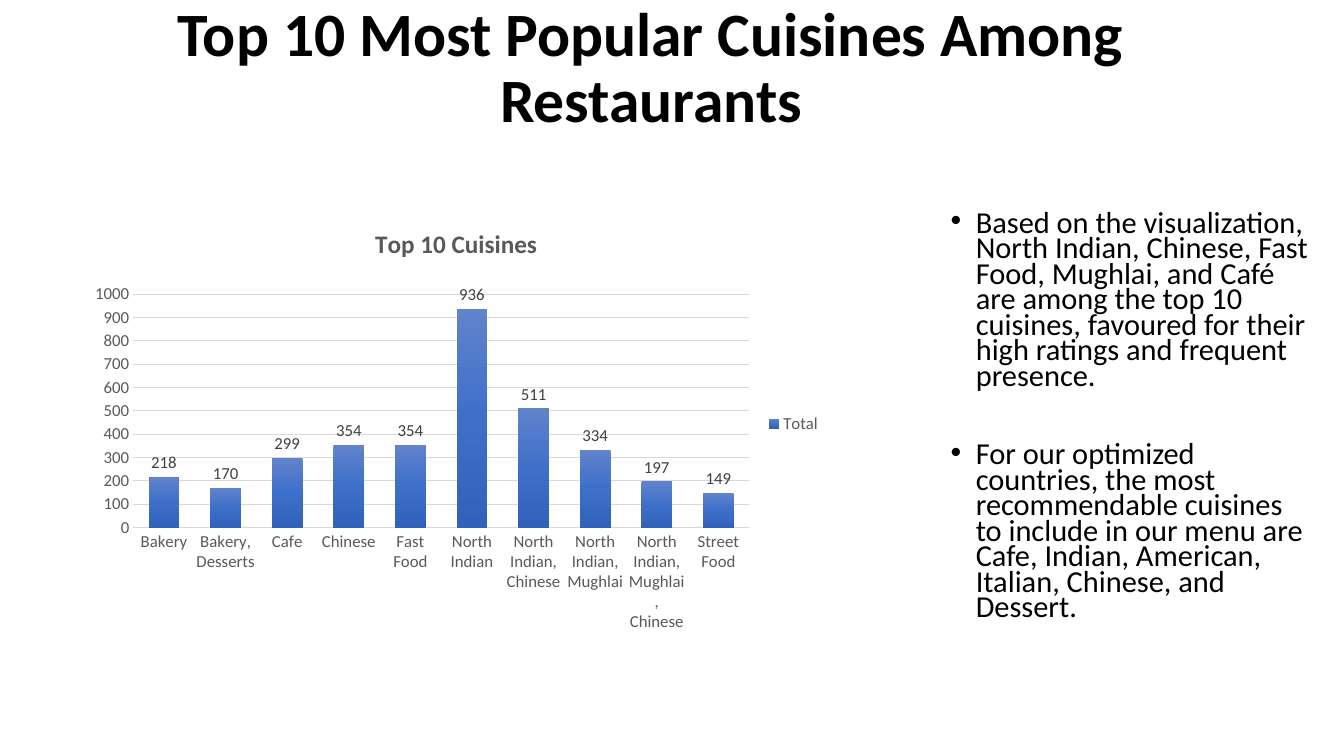
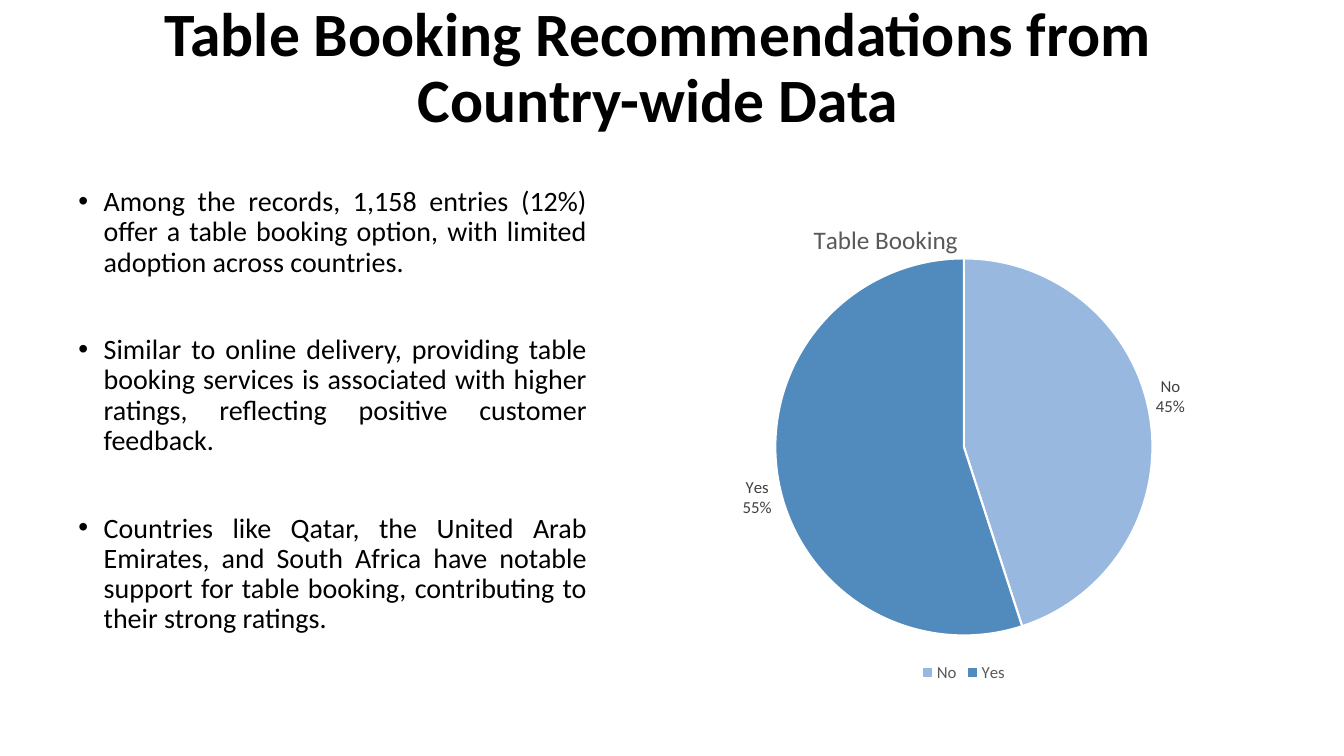
from lxml import etree
from pptx import Presentation
from pptx import util as u
from pptx.chart import data as cd
from pptx.dml.color import RGBColor
from pptx.enum import chart as ce
from pptx.enum import text as te
from pptx.oxml import ns, parse_xml

BLACK = RGBColor(0x00, 0x00, 0x00)
WHITE = RGBColor(0xFF, 0xFF, 0xFF)
GREY = RGBColor(0x59, 0x59, 0x59)
DARK = RGBColor(0x40, 0x40, 0x40)
RULE = RGBColor(0xD9, 0xD9, 0xD9)
PALE = RGBColor(0x98, 0xB8, 0xE0)
BLUE = RGBColor(0x51, 0x8A, 0xBD)
SHADES = (RGBColor(0x61, 0x83, 0xCB), RGBColor(0x3E, 0x70, 0xCA),
          RGBColor(0x30, 0x62, 0xBB))
FACE = "Calibri"


def style(font, size, color, bold=False):
    font.name = FACE
    font.size = u.Pt(size)
    font.bold = bold
    font.color.rgb = color


def textbox(slide, box):
    frame = slide.shapes.add_textbox(*map(u.Inches, box)).text_frame
    frame.word_wrap = True
    return frame


def title(slide, left, words):
    frame = textbox(slide, (left, 0, 11.32, 1.38))
    frame.vertical_anchor = te.MSO_ANCHOR.MIDDLE
    frame.text = words
    para = frame.paragraphs[0]
    para.alignment = te.PP_ALIGN.CENTER
    para.line_spacing = 0.9
    style(para.runs[0].font, 44, BLACK, True)


def bullets(slide, box, items, size, pitch, gap, align):
    frame = textbox(slide, box)
    frame.text = "\n".join(items)
    for i, para in enumerate(frame.paragraphs):
        para.alignment = align
        para.line_spacing = pitch
        para.space_before = u.Pt(gap if i else 10)
        style(para.runs[0].font, size, BLACK)
        props = para._p.get_or_add_pPr()
        props.set("marL", str(u.Inches(0.25)))
        props.set("indent", str(u.Inches(-0.25)))
        etree.SubElement(props, ns.qn("a:buFont"), typeface="Arial")
        etree.SubElement(props, ns.qn("a:buChar"), char="•")


def layout(parent, index, **parts):
    for old in parent.findall(ns.qn("c:layout")):
        parent.remove(old)
    node = etree.Element(ns.qn("c:layout"))
    manual = etree.SubElement(node, ns.qn("c:manualLayout"))
    for tag, val in parts.items():
        etree.SubElement(manual, ns.qn("c:" + tag), val=str(val))
    parent.insert(index, node)


def chart(slide, box, kind, head, bold, spot, plot, side, name, cats, vals):
    data = cd.CategoryChartData()
    data.categories = cats
    data.add_series(name, vals)
    item = slide.shapes.add_chart(kind, *map(u.Inches, box), data).chart
    style(item.font, 12, GREY)
    item.has_title = True
    item.chart_title.text_frame.text = head
    style(item.chart_title.text_frame.paragraphs[0].runs[0].font, 18, GREY, bold)
    item.has_legend = True
    item.legend.position = side
    item.legend.include_in_layout = False
    style(item.legend.font, 12, GREY)
    root = item._chartSpace.chart
    if spot:
        layout(item.chart_title._element, 1, xMode="edge", yMode="edge",
               x=spot[0], y=spot[1])
    x, y, w, h = plot
    layout(root.plotArea, 0, layoutTarget="inner", xMode="edge", yMode="edge",
           x=x, y=y, w=w, h=h)
    group = item.plots[0]
    group.has_data_labels = True
    labels = group.data_labels
    labels.position = ce.XL_LABEL_POSITION.OUTSIDE_END
    style(labels.font, 12, DARK)
    return item, group, labels


def columns(slide, box, head, name, cats, vals):
    item, group, labels = chart(
        slide, box, ce.XL_CHART_TYPE.COLUMN_CLUSTERED, head, True, None,
        (0.07, 0.2, 0.82, 0.54), ce.XL_LEGEND_POSITION.RIGHT, name, cats, vals)
    labels.show_value = True
    group.vary_by_categories = False
    group.gap_width = 100
    group.overlap = -24
    for axis in (item.category_axis, item.value_axis):
        axis.major_tick_mark = ce.XL_TICK_MARK.NONE
        axis.minor_tick_mark = ce.XL_TICK_MARK.NONE
        style(axis.tick_labels.font, 12, GREY)
    line = item.category_axis.format.line
    line.color.rgb = RULE
    line.width = u.Pt(1)
    axis = item.value_axis
    axis.minimum_scale, axis.maximum_scale, axis.major_unit = 0, 1000, 100
    axis.format.line.fill.background()
    axis.major_gridlines.format.line.color.rgb = RULE
    axis.major_gridlines.format.line.width = u.Pt(0.75)
    series = group.series[0]
    series.invert_if_negative = False
    stops = "".join(f'<a:gs pos="{i * 50000}"><a:srgbClr val="{c}"/></a:gs>'
                    for i, c in enumerate(SHADES))
    props = series._element.get_or_add_spPr()
    props.insert(0, parse_xml(
        f'<a:gradFill {ns.nsdecls("a")} rotWithShape="1"><a:gsLst>{stops}'
        '</a:gsLst><a:lin ang="5400000" scaled="0"/></a:gradFill>'))


def pie(slide, box, head, name, cats, vals):
    item, group, labels = chart(
        slide, box, ce.XL_CHART_TYPE.PIE, head, False, (0.27, 0.07),
        (0.22, 0.15, 0.56, 0.75), ce.XL_LEGEND_POSITION.BOTTOM,
        name, cats, vals)
    labels.show_value = False
    labels.show_percentage = True
    labels.show_category_name = True
    mark = etree.Element(ns.qn("c:separator"))
    mark.text = "\n"
    node = labels._element
    last = node.find(ns.qn("c:showBubbleSize"))
    if last is None:
        last = node.find(ns.qn("c:showPercent"))
    last.addnext(mark)
    group.vary_by_categories = True
    for i, color in enumerate((PALE, BLUE)):
        form = group.series[0].points[i].format
        form.fill.solid()
        form.fill.fore_color.rgb = color
        form.line.color.rgb = WHITE
        form.line.width = u.Pt(1.5)


def cuisines(slide):
    title(slide, 0.8, "Top 10 Most Popular Cuisines Among Restaurants")
    columns(slide, (0.8, 2.06, 7.45, 4.29), "Top 10 Cuisines", "Total",
            ("Bakery", "Bakery, Desserts", "Cafe", "Chinese", "Fast Food",
             "North Indian", "North Indian, Chinese", "North Indian, Mughlai",
             "North Indian, Mughlai, Chinese", "Street Food"),
            (218, 170, 299, 354, 354, 936, 511, 334, 197, 149))
    bullets(slide, (9.33, 2.06, 3.76, 4.85), (
        "Based on the visualization, North Indian, Chinese, Fast Food, Mughlai, "
        "and Café are among the top 10 cuisines, favoured for their high "
        "ratings and frequent presence.",
        "For our optimized countries, the most recommendable cuisines to "
        "include in our menu are Cafe, Indian, American, Italian, Chinese, "
        "and Dessert."), 21.7, 0.7, 38, te.PP_ALIGN.LEFT)


def booking(slide):
    title(slide, 0.87, "Table Booking Recommendations from Country-wide Data")
    bullets(slide, (0.68, 1.81, 5.24, 5), (
        "Among the records, 1,158 entries (12%) offer a table booking option, "
        "with limited adoption across countries.",
        "Similar to online delivery, providing table booking services is "
        "associated with higher ratings, reflecting positive customer feedback.",
        "Countries like Qatar, the United Arab Emirates, and South Africa have "
        "notable support for table booking, contributing to their strong "
        "ratings."), 20, 0.9, 41, te.PP_ALIGN.JUSTIFY)
    pie(slide, (6.22, 1.81, 6.68, 5), "Table Booking", "Series 1",
        ("No", "Yes"), (45, 55))


def main():
    deck = Presentation()
    deck.slide_width = u.Inches(13.33)
    deck.slide_height = u.Inches(7.5)
    for draw in (cuisines, booking):
        draw(deck.slides.add_slide(deck.slide_layouts[6]))
    deck.save("out.pptx")


if __name__ == "__main__":
    main()
